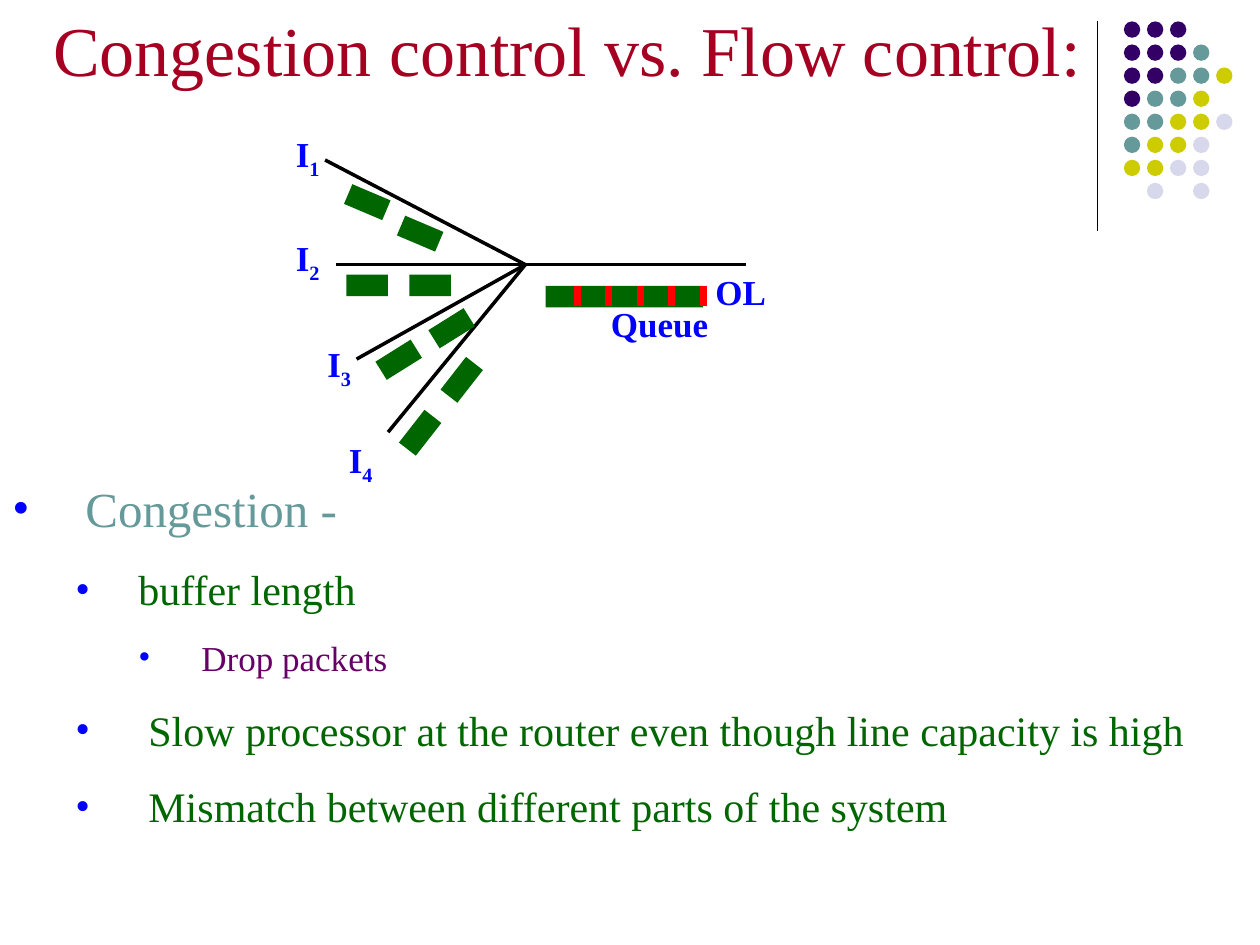
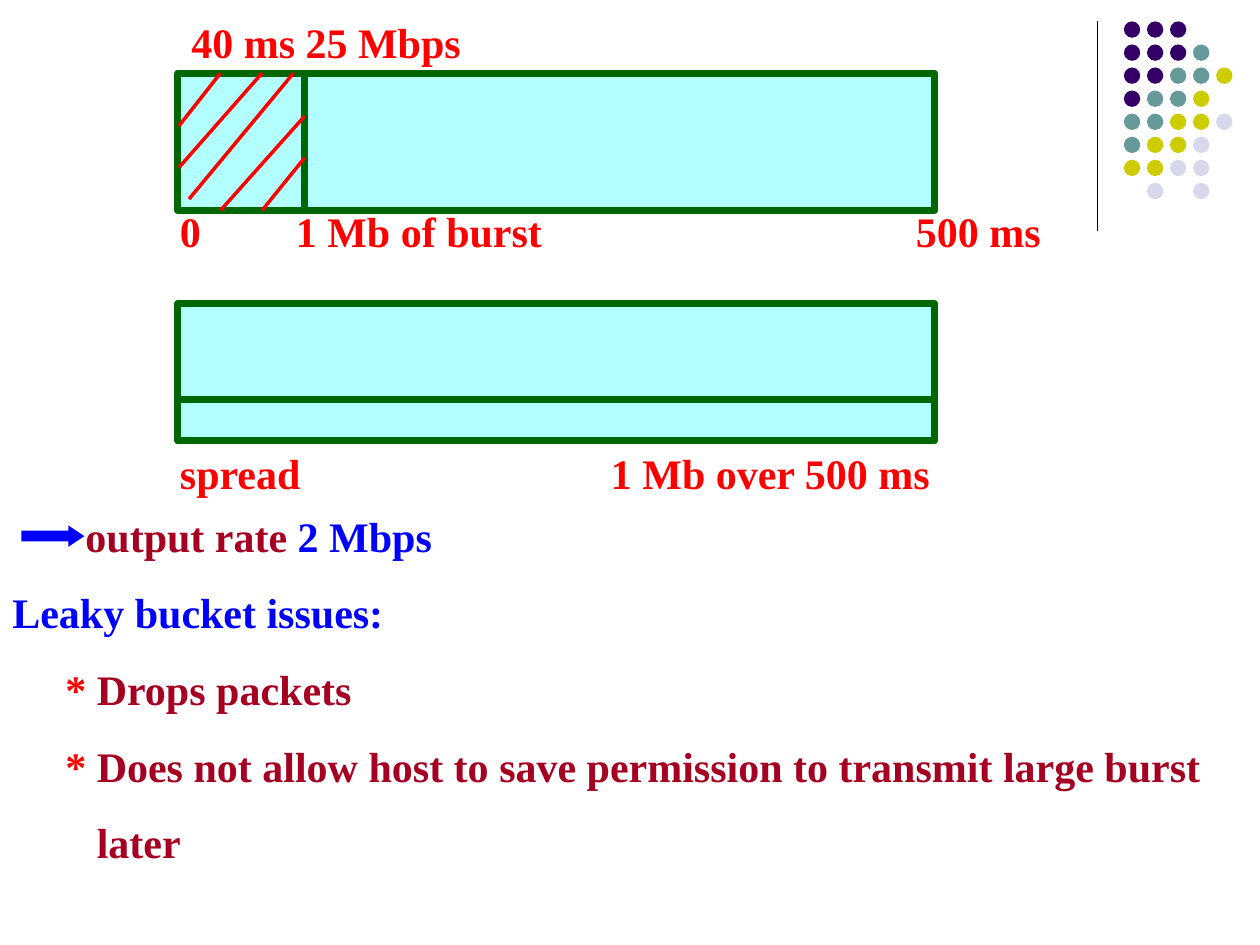
import lxml.etree
import pptx
import pptx.dml.color
import pptx.enum.shapes
import pptx.enum.text
import pptx.oxml.ns
import pptx.util

Inches = pptx.util.Inches
Pt = pptx.util.Pt
qn = pptx.oxml.ns.qn
SHAPE = pptx.enum.shapes.MSO_SHAPE
LINE = pptx.enum.shapes.MSO_CONNECTOR.STRAIGHT

FONT = "Times New Roman"
COLORS = {
    "black": "000000", "crimson": "A50021", "blue": "0000FF", "red": "FF0000",
    "green": "006600", "purple": "660066", "aqua": "B3FFFF",
    "indigo": "330066", "teal": "669999", "olive": "CCCC00", "mist": "D8D8EC",
}
RGB = {name: pptx.dml.color.RGBColor.from_string(code) for name, code in COLORS.items()}


def write(frame, *spans, size=24, bold=True, subscript="", indent=0, hang=0,
          bullet=None, level=0):
    started = bool(frame.text)
    para = frame.add_paragraph() if started else frame.paragraphs[0]
    para.level = level
    para.space_before = Pt(0.625 * size if started else 0)
    properties = para._p.get_or_add_pPr()
    properties.set("marL", str(Inches(indent)))
    properties.set("indent", str(Inches(-hang)))
    if bullet:
        tint = lxml.etree.SubElement(properties, qn("a:buClr"))
        lxml.etree.SubElement(tint, qn("a:srgbClr"), val=COLORS["blue"])
        lxml.etree.SubElement(properties, qn("a:buFont"), typeface=FONT)
        lxml.etree.SubElement(properties, qn("a:buChar"), char=bullet)
    for text, color in spans:
        for part, shift in ((text, None), (subscript, "-25000")):
            if part:
                span = para.add_run()
                span.text = part
                span.font.name = FONT
                span.font.size = Pt(size)
                span.font.bold = bold
                span.font.color.rgb = RGB[color]
                if shift:
                    span._r.get_or_add_rPr().set("baseline", shift)
    return para


def draw(page, kind, area, fill=None, line=None, weight=2, turn=0):
    lengths = [Inches(value) for value in area]
    if kind is LINE:
        item = page.shapes.add_connector(kind, *lengths)
    else:
        item = page.shapes.add_shape(kind, *lengths)
        item.shadow.inherit = False
        item.fill.solid()
        item.fill.fore_color.rgb = RGB[fill]
        item.rotation = turn
    if line:
        item.line.color.rgb = RGB[line]
        item.line.width = Pt(weight)
    else:
        item.line.fill.background()
    if kind is LINE:
        lxml.etree.SubElement(item._element.spPr, qn("a:effectLst"))
    return item


deck = pptx.Presentation()
deck.slide_width = Inches(10)
deck.slide_height = Inches(7.5)
control_page = deck.slides.add_slide(deck.slide_layouts[5])
bucket_page = deck.slides.add_slide(deck.slide_layouts[6])

DOT_ROWS = ["III", "IIIT", "IITTO", "ITTO", "TTOOM", "TOOM", "OOMM", " M M"]
DOT_COLORS = {"I": "indigo", "T": "teal", "O": "olive", "M": "mist"}
for page in deck.slides:
    draw(page, LINE, (8.71, 0.17, 8.71, 1.83), line="black", weight=0.75)
    for row, letters in enumerate(DOT_ROWS):
        for column, letter in enumerate(letters):
            if letter in DOT_COLORS:
                dot_area = (8.92 + column * 0.183, 0.17 + row * 0.183, 0.13, 0.13)
                draw(page, SHAPE.OVAL, dot_area, DOT_COLORS[letter])

title = control_page.shapes.title
title.left, title.top, title.width, title.height = map(Inches, (-0.5, 0, 10, 0.77))
title.text_frame.auto_size = pptx.enum.text.MSO_AUTO_SIZE.NONE
title.text_frame.vertical_anchor = pptx.enum.text.MSO_ANCHOR.TOP
heading = write(title.text_frame, ("Congestion control vs. Flow control:", "crimson"),
                size=40, bold=False)
heading.alignment = pptx.enum.text.PP_ALIGN.CENTER

draw(control_page, LINE, (2.67, 2.1, 5.92, 2.1), line="black")
for start in ((2.58, 1.27), (2.83, 2.85), (3.08, 3.43)):
    draw(control_page, LINE, (*start, 4.17, 2.1), line="black")

PACKETS = [
    (2.75, 1.52, 23), (3.17, 1.77, 23), (2.75, 2.18, 0), (3.25, 2.18, 0),
    (3, 2.77, 328), (3.42, 2.52, 328), (3.5, 2.93, 308), (3.17, 3.35, 308),
]
for left, top, turn in PACKETS:
    draw(control_page, SHAPE.RECTANGLE, (left, top, 0.33, 0.17), "green", turn=turn)

draw(control_page, SHAPE.RECTANGLE, (4.33, 2.27, 1.25, 0.17), "green")
for slot in range(1, 6):
    edge = 4.33 + slot * 0.25
    draw(control_page, LINE, (edge, 2.27, edge, 2.43), line="red", weight=4)

for top in (2.41, 0.58):
    draw(bucket_page, SHAPE.RECTANGLE, (1.41, top, 6.01, 1.09), "aqua", "green", 4)
for divider in ((1.42, 3.17, 7.42, 3.17), (2.42, 0.58, 2.42, 1.67)):
    draw(bucket_page, LINE, divider, line="green", weight=4)
HATCHES = [
    (1.42, 1, 1.75, 0.58), (1.42, 1.33, 2.08, 0.58), (1.5, 1.58, 2.33, 0.58),
    (1.75, 1.67, 2.42, 0.92), (2.08, 1.67, 2.42, 1.25),
]
for hatch in HATCHES:
    draw(bucket_page, LINE, hatch, line="red")
arrow = draw(bucket_page, SHAPE.RIGHT_ARROW, (0.17, 4.17, 0.5, 0.17), "blue")
arrow.adjustments[1] = 0.75

LABELS = [
    (control_page, (4.75, 2.35, 2.08, 0.43), "Queue", "blue", {"size": 20}),
    (control_page, (5.58, 2.1, 2.08, 0.43), "OL", "blue", {"size": 20}),
    (bucket_page, (1.42, 0.08, 2.5, 0.5), "40 ms 25 Mbps", "red", {}),
    (bucket_page, (1.33, 1.58, 0.42, 0.5), "0", "red", {}),
    (bucket_page, (2.25, 1.58, 2.33, 0.5), "1 Mb of burst", "red", {}),
    (bucket_page, (7.17, 1.58, 1.5, 0.5), "500 ms", "red", {}),
    (bucket_page, (1.33, 3.5, 1.67, 0.5), "spread", "red", {}),
    (bucket_page, (4.75, 3.5, 4.42, 0.5), "1 Mb over 500 ms", "red", {}),
]
INPUTS = ((2.25, 1), (2.25, 1.83), (2.5, 2.67), (2.67, 3.43))
for number, (left, top) in enumerate(INPUTS, 1):
    LABELS.append((control_page, (left, top, 0.83, 0.48), "I", "blue",
                   {"size": 20, "subscript": str(number)}))
for page, area, text, color, style in LABELS:
    box = page.shapes.add_textbox(*map(Inches, area))
    box.text_frame.word_wrap = True
    write(box.text_frame, (text, color), **style)

CAUSES = [
    ("Congestion -", "teal", 28, 0, 0.58, 0.58),
    ("buffer length", "green", 24, 1, 1, 0.5),
    ("Drop packets", "purple", 20, 2, 1.5, 0.5),
    ("Slow processor at the router even though line capacity is high", "green", 24, 1, 1.08, 0.58),
    ("Mismatch between different parts of the system", "green", 24, 1, 1.08, 0.58),
]
causes_box = control_page.shapes.add_textbox(*map(Inches, (0, 3.75, 10, 3.51)))
causes_box.text_frame.word_wrap = True
for text, color, size, level, indent, hang in CAUSES:
    write(causes_box.text_frame, (text, color), size=size, bold=False,
          level=level, indent=indent, hang=hang, bullet="•")

issues_box = bucket_page.shapes.add_textbox(*map(Inches, (0, 4, 10, 2.93)))
issues = issues_box.text_frame
issues.word_wrap = True
write(issues, ("output rate ", "crimson"), ("2 Mbps", "blue"), indent=0.58)
write(issues, ("Leaky bucket issues:", "blue"))
for issue in ("Drops packets", "Does not allow host to save permission to transmit large burst"):
    write(issues, ("* ", "red"), (issue, "crimson"), indent=0.67, hang=0.25)
write(issues, ("later", "crimson"), indent=0.67)

deck.save("out.pptx")
